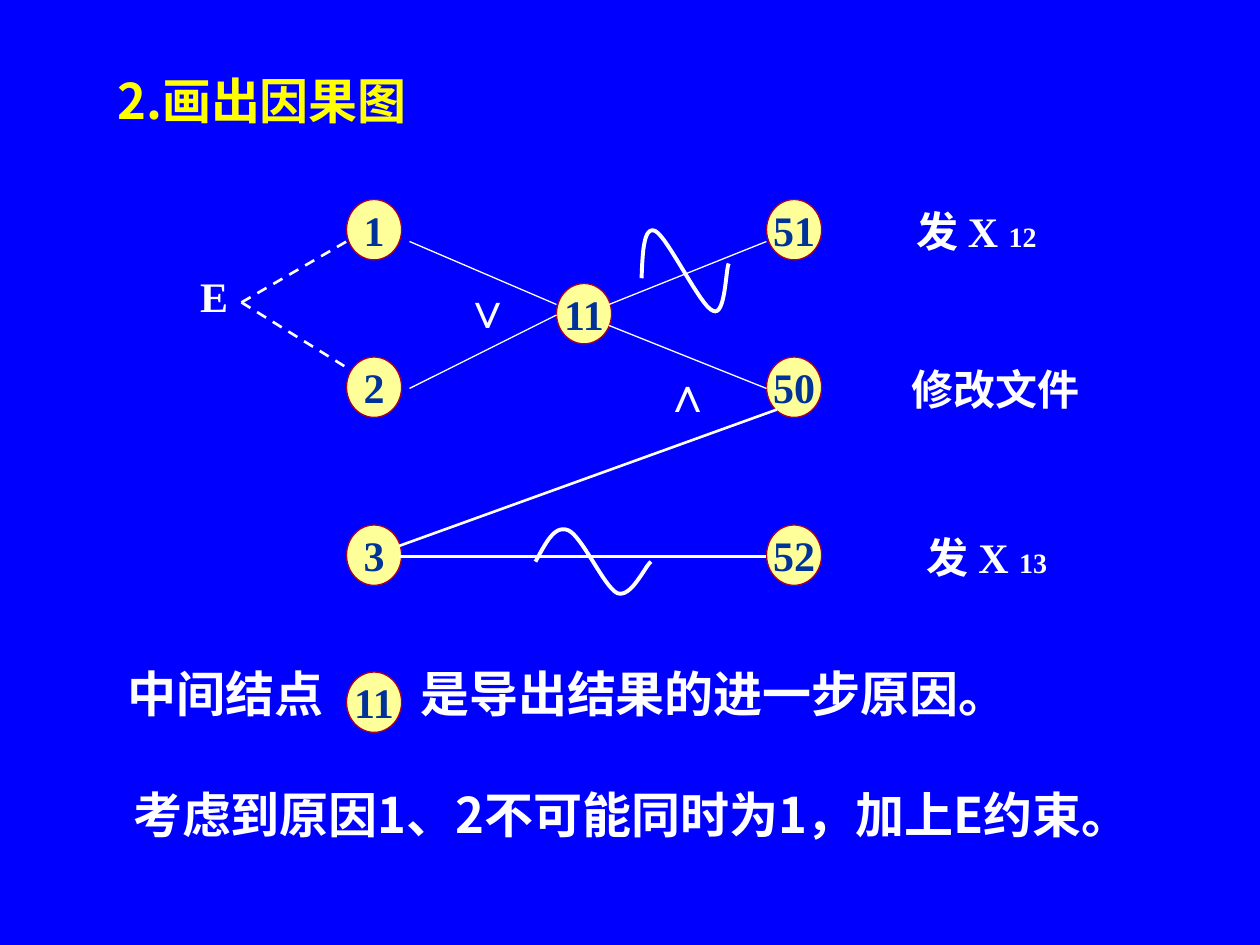
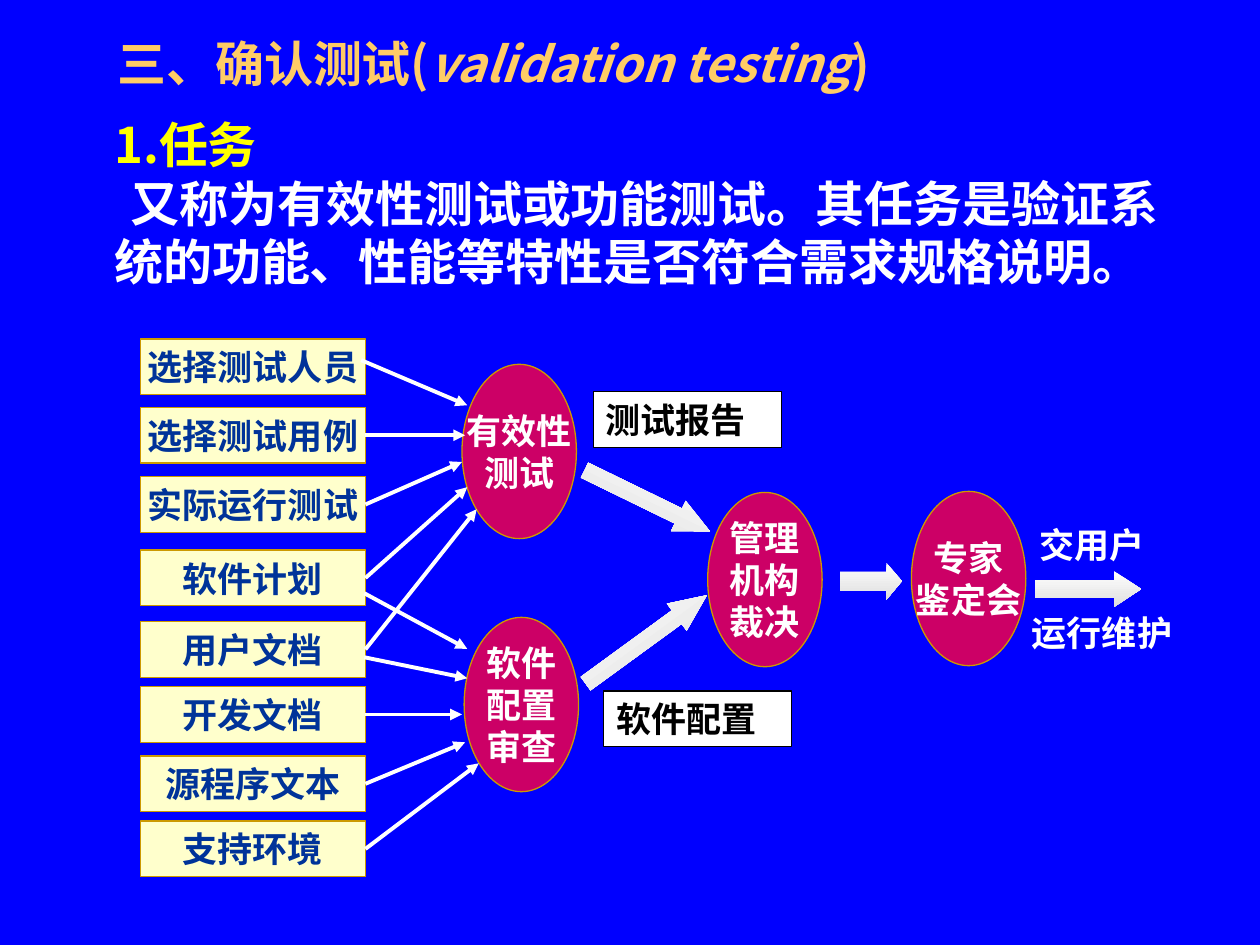
from dataclasses import dataclass

from lxml.etree import SubElement
from pptx import Presentation
from pptx.dml.color import RGBColor
from pptx.enum.dml import MSO_LINE
from pptx.enum.shapes import MSO_CONNECTOR, MSO_SHAPE
from pptx.enum.text import MSO_ANCHOR, PP_ALIGN
from pptx.oxml.ns import qn
from pptx.util import Emu, Inches, Pt

COLUMNS, ROWS = 120, 90
LEFT, CENTER = PP_ALIGN.LEFT, PP_ALIGN.CENTER


@dataclass(frozen=True)
class Theme:
    """Colours, fonts and type sizes of the deck."""

    background: str = "0000FF"
    text: str = "FFFFFF"
    heading: str = "FFFF00"
    section: str = "FFCC66"
    ink: str = "003399"
    black: str = "000000"
    node: str = "FFFF99"
    node_edge: str = "A50021"
    box: str = "FFFFCC"
    gold: str = "CC9900"
    stage: str = "CC0066"
    arrow_shade: str = "DEDEDE"
    sans: str = "Noto Sans CJK SC"
    serif: str = "Times New Roman"
    large: int = 28
    medium: int = 24
    small: int = 20
    subscript: int = 16
    hairline: float = 0.75
    line: float = 1.5
    heavy: float = 2.25


THEME = Theme()


class Deck:
    """Draws styled elements on the current slide, placed in grid columns and rows."""

    def __init__(self, theme):
        """Start an empty 10 by 7.5 inch presentation."""
        self.theme = theme
        self.presentation = Presentation()
        self.presentation.slide_width = Inches(10)
        self.presentation.slide_height = Inches(7.5)
        self.slide = None

    def new_slide(self):
        """Open a blank slide with the shared background."""
        self.slide = self.presentation.slides.add_slide(self.presentation.slide_layouts[6])
        fill = self.slide.background.fill
        fill.solid()
        fill.fore_color.rgb = RGBColor.from_string(self.theme.background)

    def place(self, *lengths):
        """Turn alternating columns and rows into slide lengths."""
        units = (self.presentation.slide_width / COLUMNS, self.presentation.slide_height / ROWS)
        return [Emu(round(length * units[i % 2])) for i, length in enumerate(lengths)]

    def fill_text(self, frame, paragraphs, size, color, font, align=CENTER, spacing=None,
                  tab=None):
        """Fill a frame; a paragraph is a string or a list of (text, overrides) pairs."""
        for number, content in enumerate(paragraphs):
            paragraph = frame.add_paragraph() if number else frame.paragraphs[0]
            paragraph.alignment = align
            paragraph.space_before = Pt(0)
            if spacing:
                paragraph.line_spacing = spacing
            properties = paragraph._p.get_or_add_pPr()
            if tab:
                stops = SubElement(properties, qn("a:tabLst"))
                SubElement(stops, qn("a:tab"), pos=str(Inches(tab)), algn="l")
            paragraph.font.size = Pt(size)
            paragraph.font.bold = True
            paragraph.font.color.rgb = RGBColor.from_string(color)
            paragraph.font.name = font
            SubElement(properties.find(qn("a:defRPr")), qn("a:ea"), typeface=self.theme.sans)
            for text, overrides in [(content, {})] if isinstance(content, str) else content:
                run = paragraph.add_run()
                run.text = text
                run.font.italic = overrides.get("italic")
                run.font.size = overrides.get("size")

    def text(self, area, paragraphs, size, color=None, font=None, wrap=True,
             anchor=MSO_ANCHOR.TOP, **layout):
        """Add a text box and return its frame."""
        frame = self.slide.shapes.add_textbox(*self.place(*area)).text_frame
        frame.word_wrap = wrap
        frame.vertical_anchor = anchor
        self.fill_text(frame, paragraphs, size, color or self.theme.text,
                       font or self.theme.serif, **layout)
        return frame

    def body(self, area, paragraphs, **layout):
        """Add large running text."""
        return self.text(area, paragraphs, self.theme.large, font=self.theme.sans,
                         align=LEFT, **layout)

    def title(self, area, runs, color):
        """Add a title with a black text shadow."""
        frame = self.text(area, [runs], self.theme.large, color, self.theme.sans,
                          anchor=MSO_ANCHOR.MIDDLE, align=LEFT)
        for run in frame.paragraphs[0].runs:
            effects = SubElement(run._r.get_or_add_rPr(), qn("a:effectLst"))
            shadow = SubElement(effects, qn("a:outerShdw"), dist="35921", dir="2700000")
            SubElement(shadow, qn("a:srgbClr"), val=self.theme.black)

    def shape(self, kind, area, fill, edge, paragraphs, size, color, align=CENTER):
        """Add a filled, outlined shape with text."""
        shape = self.slide.shapes.add_shape(kind, *self.place(*area))
        shape.shadow.inherit = False
        shape.fill.solid()
        shape.fill.fore_color.rgb = RGBColor.from_string(fill)
        shape.line.color.rgb = RGBColor.from_string(edge)
        shape.line.width = Pt(self.theme.hairline)
        shape.text_frame.word_wrap = align == LEFT
        shape.text_frame.vertical_anchor = MSO_ANCHOR.MIDDLE
        self.fill_text(shape.text_frame, paragraphs, size, color, self.theme.serif, align)
        return shape

    def node(self, column, row, number):
        """Add a numbered graph node."""
        self.shape(MSO_SHAPE.OVAL, (column, row, 5.25, 5.75), self.theme.node,
                   self.theme.node_edge, [number], self.theme.medium, self.theme.ink)

    def line(self, start, end, width, dashed=False, arrow=False, source=None):
        """Add a line, leaving the right side of a source box when one is given."""
        connector = self.slide.shapes.add_connector(
            MSO_CONNECTOR.STRAIGHT, *self.place(*start, *end))
        if source:
            connector.begin_connect(source, 3)
        connector.line.color.rgb = RGBColor.from_string(self.theme.text)
        connector.line.width = Pt(width)
        if dashed:
            connector.line.dash_style = MSO_LINE.DASH
        if arrow:
            outline = connector._element.spPr.find(qn("a:ln"))
            SubElement(outline, qn("a:tailEnd"), type="triangle")
        SubElement(connector._element.spPr, qn("a:effectLst"))

    def curve(self, start, *segments, steps=16):
        """Add an open outline through cubic segments."""
        points, origin = [], start
        for first, second, end in segments:
            for step in range(1, steps + 1):
                t = step / steps
                weights = ((1 - t) ** 3, 3 * t * (1 - t) ** 2, 3 * t * t * (1 - t), t ** 3)
                controls = (origin, first, second, end)
                points.append(self.place(*(
                    sum(w * point[axis] for w, point in zip(weights, controls))
                    for axis in (0, 1))))
            origin = end
        builder = self.slide.shapes.build_freeform(*self.place(*start))
        builder.add_line_segments(points, close=False)
        wave = builder.convert_to_shape()
        wave.shadow.inherit = False
        wave.fill.background()
        wave.line.color.rgb = RGBColor.from_string(self.theme.text)
        wave.line.width = Pt(self.theme.heavy)

    def block_arrow(self, area, head, angle=0):
        """Add a shaded block arrow."""
        arrow = self.slide.shapes.add_shape(MSO_SHAPE.RIGHT_ARROW, *self.place(*area))
        arrow.shadow.inherit = False
        arrow.adjustments[1] = head
        arrow.rotation = angle
        arrow.line.fill.background()
        arrow.fill.gradient()
        arrow.fill.gradient_angle = 270
        for stop, shade in zip(arrow.fill.gradient_stops,
                               (self.theme.text, self.theme.arrow_shade)):
            stop.color.rgb = RGBColor.from_string(shade)


def cause_effect_slide(deck):
    """Build the cause-effect graph."""
    theme = deck.theme
    deck.new_slide()
    deck.title((10, 5, 102, 9), "2.画出因果图", theme.heading)
    deck.body((11, 62, 105, 9.7), ["中间结点\t是导出结果的进一步原因。"], spacing=1.1, tab=2.32)
    deck.body((11.5, 73, 98, 13.9), ["考虑到原因1、2不可能同时为1，加上E约束。"], spacing=1.2)

    for column, row, number in (
            (33, 19, "1"), (33, 34, "2"), (33, 50, "3"), (53, 27, "11"),
            (73, 19, "51"), (73, 34, "50"), (73, 50, "52"), (33, 64, "11")):
        deck.node(column, row, number)
    for start, end in (((39, 23), (53, 29)), ((39, 37), (53, 30)),
                       ((58, 29), (73, 23)), ((58, 31), (73, 37))):
        deck.line(start, end, theme.hairline)
    for start, end in (((38, 53), (73, 53)), ((74, 39), (38, 52))):
        deck.line(start, end, theme.line)
    for cause in ((33, 23), (33, 35)):
        deck.line((23, 28.8), cause, theme.line, dashed=True)

    deck.curve((61.1, 26.5),
               ((61.2, 24), (61.3, 21.5), (62.4, 22)),
               ((63.6, 22.6), (66.7, 29.2), (67.9, 29.6)),
               ((69.1, 30.2), (69.1, 25.7), (69.4, 25.1)))
    deck.curve((51, 53.5),
               ((52, 51.7), (52.8, 50), (54.1, 50.5)),
               ((55.4, 51), (57.6, 56), (58.8, 56.5)),
               ((60.1, 57), (61.4, 54), (62, 53.5)))

    deck.text((43, 26, 5, 6.8), ["∨"], theme.large)
    deck.text((62, 34, 7, 6.8), ["∧"], theme.large, wrap=False)
    deck.text((16.5, 25.2, 7.8, 6), ["E"], theme.medium)
    for area, index in (((85, 19, 16, 6), "12"), ((85, 50, 18, 6), "13")):
        deck.text(area, [[("发 X ", {}), (index, {"size": Pt(theme.subscript)})]], theme.medium)
    deck.text((82.3, 34, 25, 6), ["修改文件"], theme.medium)


def validation_slide(deck):
    """Build the validation testing flow."""
    theme = deck.theme
    deck.new_slide()
    deck.title((10, 0, 102, 12),
               [("三、确认测试(", {}), ("validation testing", {"italic": True}), (")", {})],
               theme.section)
    task = deck.body((9.7, 10.3, 105.5, 19.7), [
        "1.任务",
        "又称为有效性测试或功能测试。其任务是验证系统的功能、性能等特性是否符合需求规格说明。"])
    heading, description = task.paragraphs
    heading.font.color.rgb = RGBColor.from_string(theme.heading)
    description._p.get_or_add_pPr().set("indent", str(Inches(0.13)))

    inputs = {}
    for name, row in (("选择测试人员", 32.3), ("选择测试用例", 38.8), ("实际运行测试", 45.4),
                      ("软件计划", 52.4), ("用户文档", 59.2), ("开发文档", 65.4),
                      ("源程序文本", 72), ("支持环境", 78.2)):
        inputs[name] = deck.shape(MSO_SHAPE.RECTANGLE, (13.4, row, 21.4, 5.3), theme.box,
                                  theme.gold, [name], theme.small, theme.ink)
    for column, row, words in (
            (44, 34.7, ["有效性", "测试"]), (44.2, 58.8, ["软件", "配置", "审查"]),
            (67.4, 46.9, ["管理", "机构", "裁决"]), (86.8, 46.8, ["专家", "鉴定会"])):
        deck.shape(MSO_SHAPE.OVAL, (column, row, 10.9, 16.6), theme.stage, theme.gold,
                   words, theme.small, theme.text)

    for name, end in (("选择测试用例", (44.3, 41.45)), ("实际运行测试", (44, 44)),
                      ("软件计划", (44.5, 46.4)), ("用户文档", (45.4, 48.5)),
                      ("开发文档", (44, 68.05)), ("源程序文本", (44.3, 70.7)),
                      ("支持环境", (45.6, 72.7))):
        deck.line(end, end, theme.heavy, arrow=True, source=inputs[name])
    for start, end in (((34.4, 34.3), (44.5, 38.6)), ((34.7, 56.5), (44.5, 61.8)),
                       ((34.7, 62.6), (44.5, 64.6))):
        deck.line(start, end, theme.heavy, arrow=True)

    deck.block_arrow((55, 46.1, 13.3, 3.2), 1.05, 26)
    deck.block_arrow((54.4, 59.3, 14.3, 3.2), 1.11, 323.9)
    deck.block_arrow((80, 53.6, 5.9, 3.5), 0.42)
    deck.block_arrow((98.6, 54.4, 10.1, 3.4), 0.76)

    for area, outcome in (((97.8, 49.3, 13.1, 5.2), "交用户"),
                          ((97.1, 57.6, 16.8, 5.2), "运行维护")):
        deck.text(area, [outcome], theme.small, align=LEFT)
    for column, row, document in ((56.5, 37.3, "测试报告"), (57.5, 65.8, "软件配置")):
        deck.shape(MSO_SHAPE.RECTANGLE, (column, row, 17.9, 5.3), theme.text, theme.black,
                   [document], theme.small, theme.black, LEFT)


def main():
    """Build and save the deck."""
    deck = Deck(THEME)
    cause_effect_slide(deck)
    validation_slide(deck)
    deck.presentation.save("out.pptx")


if __name__ == "__main__":
    main()
